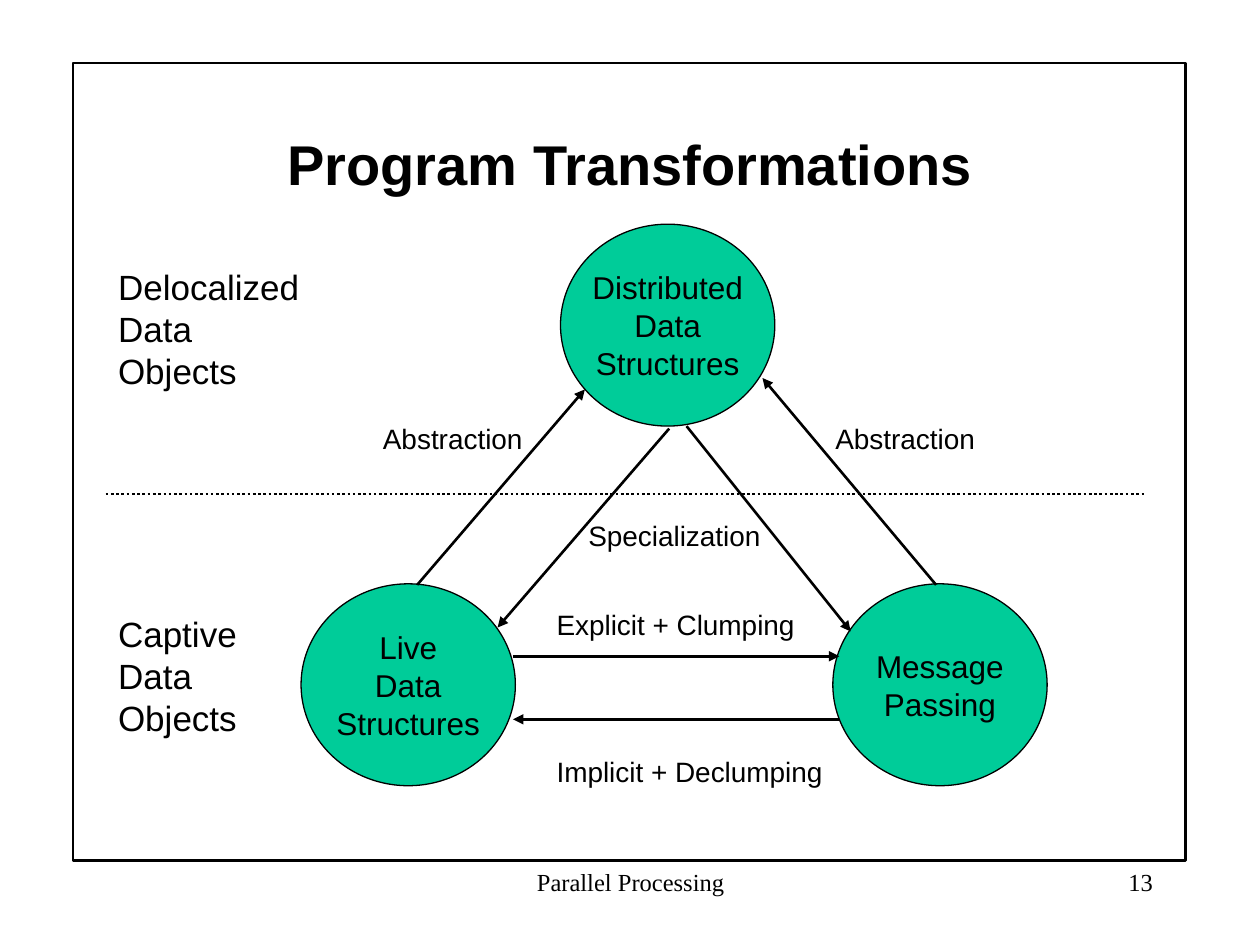
from lxml import etree
from pptx import Presentation
from pptx.dml.color import RGBColor
from pptx.enum import dml, shapes, text
from pptx.oxml import ns
from pptx.util import Cm, Pt

BLACK = "000000"
GREEN = "00CC99"
SANS = "Arial"
SERIF = "Times New Roman"
LEFT, CENTER, RIGHT = text.PP_ALIGN.LEFT, text.PP_ALIGN.CENTER, text.PP_ALIGN.RIGHT

CIRCLE_WIDTH, CIRCLE_HEIGHT = 4.32, 4.07
LABEL_HEIGHT = 0.93
LOWER_TOP = 11.77
FOOTER_TOP, FOOTER_HEIGHT = 17.35, 1.27


def color(value):
    return RGBColor.from_string(value)


def write_lines(shape, lines, size, font=SANS, align=LEFT, bold=False,
                wrap=False, anchor=text.MSO_ANCHOR.MIDDLE):
    """Fill a shape with one paragraph per line."""
    frame = shape.text_frame
    frame.word_wrap = wrap
    frame.vertical_anchor = anchor
    frame.text = "\n".join(lines)
    for paragraph in frame.paragraphs:
        paragraph.alignment = align
        paragraph.font.name = font
        paragraph.font.size = Pt(size)
        paragraph.font.bold = bold
        paragraph.font.color.rgb = color(BLACK)


def add_text(slide, box, lines, size, **style):
    shape = slide.shapes.add_textbox(*map(Cm, box))
    write_lines(shape, lines, size, **style)
    return shape


def add_label(slide, box, lines, size):
    """Add unwrapped text whose box grows to fit it."""
    label = add_text(slide, box, lines, size)
    label.text_frame.auto_size = text.MSO_AUTO_SIZE.SHAPE_TO_FIT_TEXT


def add_outlined(slide, kind, box, line_width, fill=None):
    shape = slide.shapes.add_shape(kind, *map(Cm, box))
    shape.shadow.inherit = False
    if fill:
        shape.fill.solid()
        shape.fill.fore_color.rgb = color(fill)
    else:
        shape.fill.background()
    shape.line.color.rgb = color(BLACK)
    shape.line.width = Pt(line_width)
    return shape


def add_circle(slide, left, top, lines):
    box = (left, top, CIRCLE_WIDTH, CIRCLE_HEIGHT)
    circle = add_outlined(slide, shapes.MSO_SHAPE.OVAL, box, 0.75, GREEN)
    write_lines(circle, lines, 18, align=CENTER)


def add_line(slide, start, end):
    line = slide.shapes.add_connector(
        shapes.MSO_CONNECTOR.STRAIGHT, *map(Cm, start + end))
    line.line.color.rgb = color(BLACK)
    line.line.width = Pt(1.5)
    etree.SubElement(line._element.spPr, ns.qn("a:effectLst"))
    return line


def add_arrow(slide, start, end):
    arrow = add_line(slide, start, end)
    etree.SubElement(arrow.line._get_or_add_ln(), ns.qn("a:tailEnd"), type="triangle")


def main():
    presentation = Presentation()
    presentation.slide_width, presentation.slide_height = Cm(25.4), Cm(19.05)
    slide = presentation.slides.add_slide(presentation.slide_layouts[6])

    # Frame, footer and title
    add_outlined(slide, shapes.MSO_SHAPE.RECTANGLE, (1.47, 1.27, 22.43, 16.08), 1.25)
    for left, width, line, align in [
        (8.69, 8.05, "Parallel Processing", CENTER),
        (18.21, 5.28, "13", RIGHT),
    ]:
        add_text(slide, (left, FOOTER_TOP, width, FOOTER_HEIGHT), [line], 14,
                 font=SERIF, align=align, wrap=True, anchor=text.MSO_ANCHOR.TOP)
    add_text(slide, (1.91, 1.69, 21.59, 3.18), ["Program Transformations"], 32,
             align=CENTER, bold=True, wrap=True)

    # Program models
    add_circle(slide, 11.3, 4.52, ["Distributed", "Data", "Structures"])
    add_circle(slide, 16.79, LOWER_TOP, ["Message", "Passing"])
    add_circle(slide, 6.07, LOWER_TOP, ["Live", "Data", "Structures"])

    # Divider between delocalized and captive objects
    divider = add_line(slide, (2.13, 9.96), (23.06, 9.96))
    divider.line.dash_style = dml.MSO_LINE.ROUND_DOT
    for top, width, kind in [(5.23, 4.17, "Delocalized"), (12.22, 2.9, "Captive")]:
        add_label(slide, (2.13, top, width, 2.79), [kind, "Data", "Objects"], 20)

    # Transformations, each arrow pointing at its result
    for start, end in [
        ((8.41, 11.79), (11.79, 7.85)),
        ((13.49, 8.64), (10.03, 12.65)),
        ((13.84, 8.59), (17.15, 12.73)),
        ((18.87, 11.79), (15.37, 7.62)),
        ((10.34, 13.23), (16.92, 13.23)),
        ((16.92, 14.5), (10.34, 14.5)),
    ]:
        add_arrow(slide, start, end)

    # Transformation labels
    for left, top, width, label in [
        (10.97, 15.08, 5.9, "Implicit + Declumping"),
        (10.97, 12.12, 5.35, "Explicit + Clumping"),
        (11.61, 10.33, 4.05, "Specialization"),
        (16.59, 8.37, 3.35, "Abstraction"),
        (7.47, 8.37, 3.35, "Abstraction"),
    ]:
        add_label(slide, (left, top, width, LABEL_HEIGHT), [label], 16)

    presentation.save("out.pptx")


if __name__ == "__main__":
    main()
